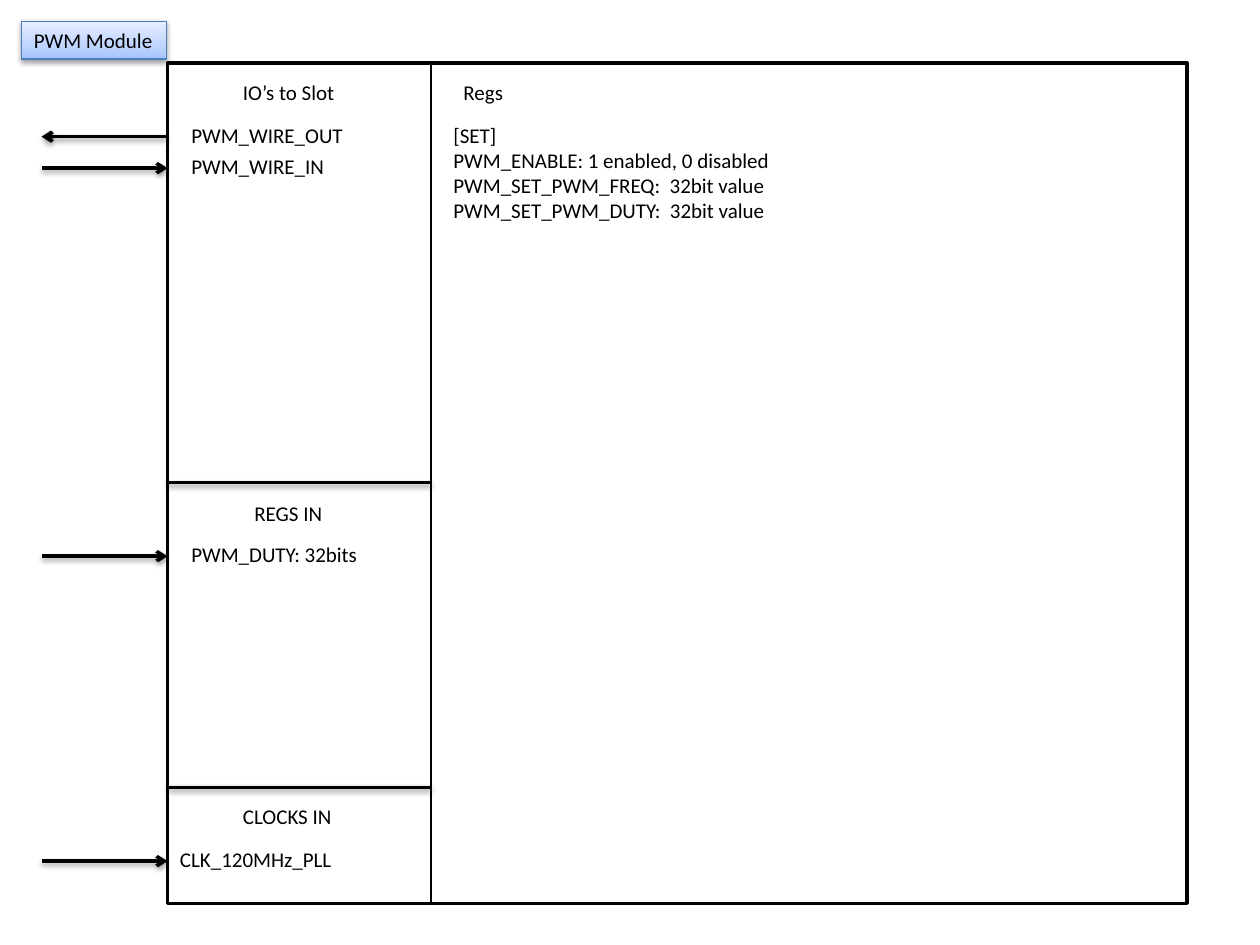
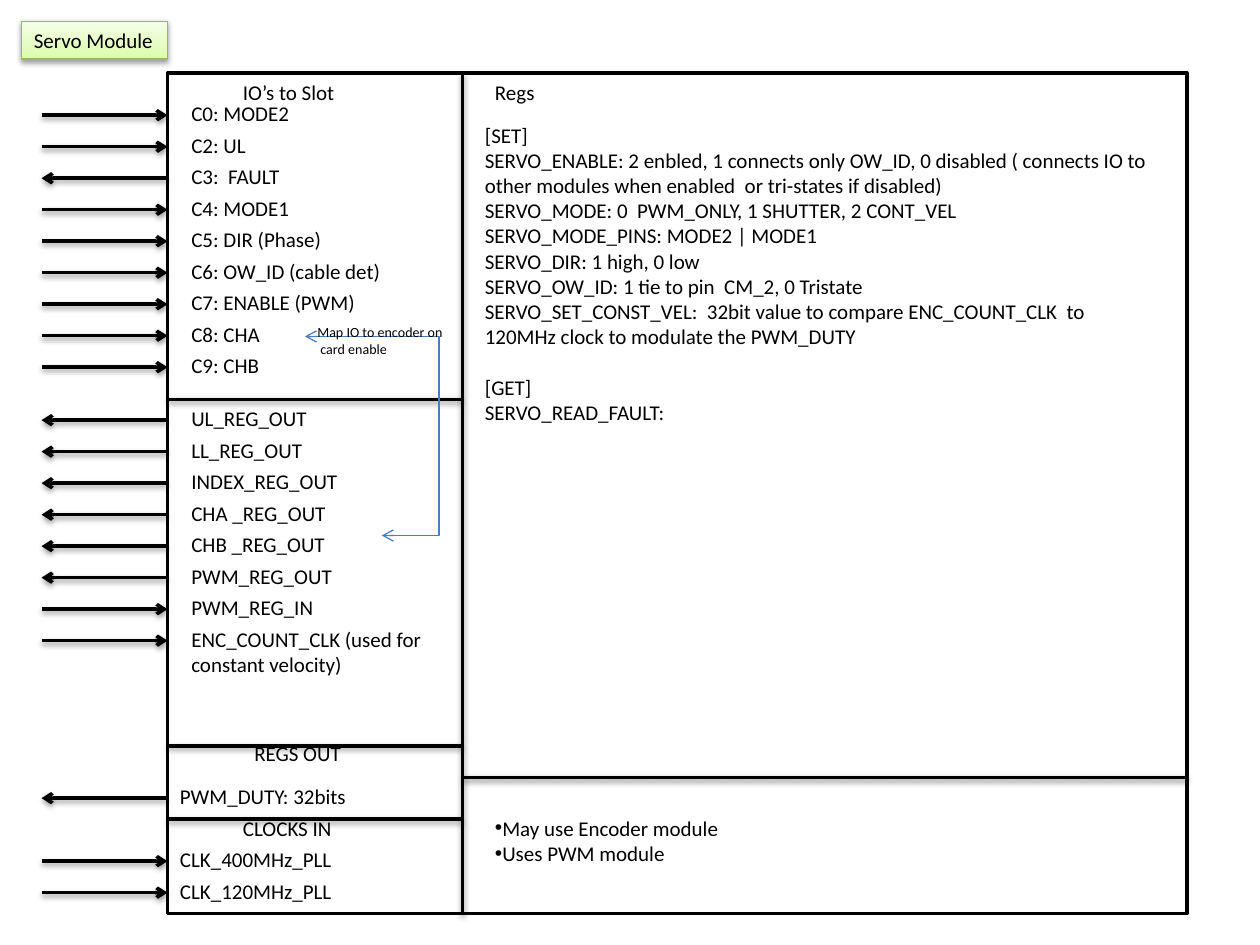
from pptx import Presentation
from pptx.util import Inches, Pt
from pptx.dml.color import RGBColor as RGB
from pptx.enum.shapes import MSO_SHAPE as SHAPE, MSO_CONNECTOR as LINK
from pptx.enum.text import PP_ALIGN as ALIGN, MSO_ANCHOR as ANCHOR, MSO_AUTO_SIZE as AUTO
from pptx.oxml import parse_xml
from pptx.oxml.ns import qn
from lxml.etree import SubElement as Sub

INK = {
    "black": "000000", "white": "FFFFFF", "blue": "4B7EBC", "green": "98B955",
    "blue0": "A4C4FF", "blue35": "BFD4FF", "blue100": "E6EEFF",
    "green0": "DAFDA7", "green35": "E4FCC2", "green100": "F5FFE7",
}
NS = "http://schemas.openxmlformats.org/drawingml/2006/main"
SHADE = (f'<a:effectLst xmlns:a="{NS}"><a:outerShdw blurRad="40000" dist="20000" '
         'dir="5400000" rotWithShape="0"><a:srgbClr val="000000"><a:alpha val="38000"/>'
         '</a:srgbClr></a:outerShdw></a:effectLst>')
LEFT, RIGHT, TALL, STEP = 1.33, 9.42, 6.67, 0.25


def write(slide, text, x, y, w, h=0.3, size=12, wrap=False, tint=None, dot=False, gap=None):
    spot = [Inches(v) for v in (x, y, w, h)]
    if tint:
        box = slide.shapes.add_shape(SHAPE.RECTANGLE, *spot)
        box.fill.gradient()
        box.fill.gradient_angle = 90
        stops = box._element.spPr.find(".//" + qn("a:gsLst"))
        for old in list(stops):
            stops.remove(old)
        for pos in (0, 35, 100):
            stop = Sub(stops, qn("a:gs"), pos=str(pos * 1000))
            Sub(stop, qn("a:srgbClr"), val=INK[f"{tint}{pos}"])
        box.line.color.rgb = RGB.from_string(INK[tint])
        box.line.width = Pt(0.75)
        box._element.spPr.append(parse_xml(SHADE))
    else:
        box = slide.shapes.add_textbox(*spot)
    frame = box.text_frame
    frame.word_wrap = wrap
    frame.auto_size = AUTO.SHAPE_TO_FIT_TEXT
    frame.vertical_anchor = ANCHOR.TOP
    for i, line in enumerate(text.split("\n")):
        para = frame.paragraphs[0] if i == 0 else frame.add_paragraph()
        para.alignment = ALIGN.LEFT
        if line == gap:
            para.space_before = Pt(14.4)
        if dot:
            props = para._p.get_or_add_pPr()
            Sub(props, qn("a:buFont"), typeface="Arial")
            Sub(props, qn("a:buChar"), char="•")
        run = para.add_run()
        run.text = line
        run.font.size = Pt(size)
        run.font.name = "Calibri"
        run.font.color.rgb = RGB.from_string(INK["black"])


def link(slide, x1, y1, x2, y2, ends="", kind=LINK.STRAIGHT, wide=2, ink="black", shade=True):
    line = slide.shapes.add_connector(kind, *[Inches(v) for v in (x1, y1, x2, y2)])
    line.line.width = Pt(wide)
    line.line.color.rgb = RGB.from_string(INK[ink])
    props = line._element.spPr
    stroke = props.find(qn("a:ln"))
    for mark, end in (("<", "a:headEnd"), (">", "a:tailEnd")):
        if mark in ends:
            Sub(stroke, qn(end), type="arrow")
    props.append(parse_xml(SHADE if shade else f'<a:effectLst xmlns:a="{NS}"/>'))
    return line


PWM = {
    "name": "PWM Module", "wide": 1.15, "tint": "blue", "top": 0.5, "split": 3.42,
    "rule": 0.75, "shade": False, "rows": [3.83, 6.25],
    "heads": [("IO’s to Slot", 1.83, 0.58, 0.94), ("Regs", 3.58, 0.58, 0.52),
              ("REGS IN", 1.92, 3.92, 0.75), ("CLOCKS IN", 1.83, 6.33, 0.91)],
    "pins": [
        (1.42, 0.92, [("<", 1.42, "PWM_WIRE_OUT"), (">", 1.27, "PWM_WIRE_IN")]),
        (1.42, 4.25, [(">", 1.54, "PWM_DUTY: 32bits")]),
        (1.33, 6.67, [(">", 1.42, "CLK_120MHz_PLL")]),
    ],
    "regs": (3.5, 5.83, 0.91, """[SET]
PWM_ENABLE: 1 enabled, 0 disabled
PWM_SET_PWM_FREQ:  32bit value
PWM_SET_PWM_DUTY:  32bit value"""),
}
SERVO = {
    "name": "Servo Module", "wide": 1.16, "tint": "green", "top": 0.58, "split": 3.67,
    "rule": 2, "shade": True, "rows": [3.17, 5.92, 6.5],
    "heads": [("IO’s to Slot", 1.83, 0.58, 0.94), ("Regs", 3.83, 0.58, 0.52),
              ("REGS OUT", 1.92, 5.83, 0.9), ("CLOCKS IN", 1.83, 6.42, 0.91)],
    "pins": [
        (1.42, 0.75, [(">", 0.99, "C0: MODE2"), (">", 0.64, "C2: UL"),
                      ("<", 0.91, "C3:  FAULT"), (">", 0.99, "C4: MODE1"),
                      (">", 1.25, "C5: DIR (Phase)"),
                      (">", 1.72, "C6: OW_ID (cable det)"),
                      (">", 1.51, "C7: ENABLE (PWM)"),
                      (">", 0.75, "C8: CHA"), (">", 0.75, "C9: CHB")]),
        (1.42, 3.17, [("<", 1.13, "UL_REG_OUT"), ("<", 1.09, "LL_REG_OUT"),
                      ("<", 1.38, "INDEX_REG_OUT"), ("<", 1.28, "CHA _REG_OUT"),
                      ("<", 1.28, "CHB _REG_OUT"), ("<", 1.33, "PWM_REG_OUT"),
                      (">", 1.18, "PWM_REG_IN"),
                      (">", 2.09, "ENC_COUNT_CLK (used for\nconstant velocity)")]),
        (1.33, 6.17, [("<", 1.54, "PWM_DUTY: 32bits")]),
        (1.33, 6.67, [(">", 1.42, "CLK_400MHz_PLL"), (">", 1.42, "CLK_120MHz_PLL")]),
    ],
    "regs": (3.75, 5.5, 2.93, """[SET]
SERVO_ENABLE: 2 enbled, 1 connects only OW_ID, 0 disabled ( connects IO to other modules when enabled  or tri-states if disabled)
SERVO_MODE: 0  PWM_ONLY, 1 SHUTTER, 2 CONT_VEL
SERVO_MODE_PINS: MODE2 | MODE1
SERVO_DIR: 1 high, 0 low
SERVO_OW_ID: 1 tie to pin  CM_2, 0 Tristate
SERVO_SET_CONST_VEL:  32bit value to compare ENC_COUNT_CLK  to 120MHz clock to modulate the PWM_DUTY
[GET]
SERVO_READ_FAULT:"""),
}

deck = Presentation()
deck.slide_width, deck.slide_height = Inches(10), Inches(7.5)

for unit in (PWM, SERVO):
    slide = deck.slides.add_slide(deck.slide_layouts[6])
    top, split = unit["top"], unit["split"]
    frame = slide.shapes.add_shape(
        SHAPE.RECTANGLE, *[Inches(v) for v in (LEFT, top, RIGHT - LEFT, TALL)])
    frame.shadow.inherit = False
    frame.fill.solid()
    frame.fill.fore_color.rgb = RGB.from_string(INK["white"])
    frame.line.color.rgb = RGB.from_string(INK["black"])
    frame.line.width = Pt(2)
    write(slide, unit["name"], 0.17, 0.17, unit["wide"], tint=unit["tint"])

    link(slide, split, top, split, top + TALL, wide=unit["rule"], shade=unit["shade"])
    for y in unit["rows"]:
        link(slide, LEFT, y, split, y)
    for text, x, y, w in unit["heads"]:
        write(slide, text, x, y, w)

    for x, first, pins in unit["pins"]:
        for i, (way, w, text) in enumerate(pins):
            y = first + i * STEP
            mid = y + 0.165
            link(slide, 0.33, mid, LEFT, mid, way, LINK.ELBOW)
            write(slide, text, x, y, w, 0.3 + 0.2 * text.count("\n"))

    x, w, h, text = unit["regs"]
    write(slide, text, x, 0.92, w, h, wrap=True, gap="[GET]")

link(slide, split, 6.17, RIGHT, 6.17)
write(slide, "May use Encoder module\nUses PWM module", 3.83, 6.42, 1.99, 0.5, dot=True)
loop = link(slide, 2.42, 2.67, 3.03, 4.25, "<>", LINK.ELBOW, 0.75, "blue", False)
bend = loop._element.spPr.find(qn("a:prstGeom")).get_or_add_avLst()
Sub(bend, qn("a:gd"), name="adj1", fmla="val 174400")
write(slide, "Map IO to encoder on\n card enable", 2.42, 2.52, 1.2, 0.37, size=8)

deck.save("out.pptx")
